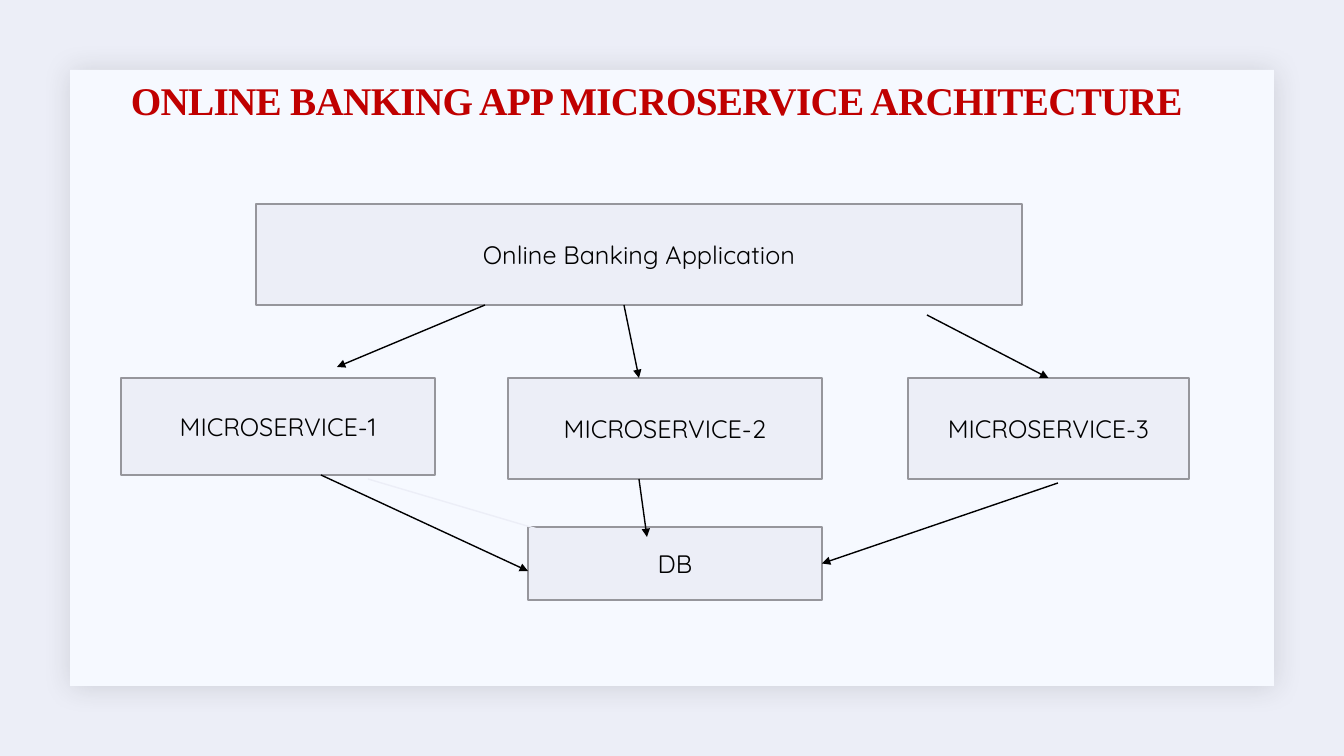
from lxml import etree
from pptx import Presentation
from pptx.dml.color import RGBColor
from pptx.enum.shapes import MSO_CONNECTOR as CONN, MSO_SHAPE as SHAPE
from pptx.enum.text import MSO_ANCHOR as ANCHOR, PP_ALIGN as ALIGN
from pptx.oxml import parse_xml
from pptx.oxml.ns import nsdecls, qn
from pptx.util import Pt

TITLE = "ONLINE BANKING APP MICROSERVICE ARCHITECTURE"
TITLE_AREA = (121, 53, 1109, 99)
PANEL_AREA = (70, 70, 1204, 616)
BOXES = {
    "Online Banking Application": (256, 204, 766, 101),
    "MICROSERVICE-1": (121, 378, 314, 97),
    "MICROSERVICE-2": (508, 378, 314, 101),
    "MICROSERVICE-3": (908, 378, 281, 101),
    "DB": (528, 527, 294, 73),
}
BLACK, PALE, PANEL, RED, GREY = "000000", "ECEEF7", "F6F9FF", "C00000", "96969C"
ARROWS = [
    ((485, 305), (337, 367), BLACK, None),
    ((624, 305), (639, 378), BLACK, None),
    ((927, 315), (1049, 378), BLACK, ("MICROSERVICE-3", 0)),
    ((368, 479), (639, 559), PALE, None),
    ((321, 475), (528, 571), BLACK, None),
    ((639, 479), (647, 537), BLACK, None),
    ((1058, 483), (822, 564), BLACK, ("DB", 3)),
]
TITLE_FONT = {"name": "Times New Roman", "size": Pt(28), "bold": True}
BOX_FONT = {"name": "Quicksand", "size": Pt(18)}
SHADOW = (
    f'<a:effectLst {nsdecls("a")}><a:outerShdw blurRad="254000" dist="25400" '
    'dir="2700000" algn="ctr" rotWithShape="0"><a:srgbClr val="1F2125">'
    '<a:alpha val="15000"/></a:srgbClr></a:outerShdw></a:effectLst>'
)


def px(*values):
    return [round(v * 914400 / 100.8) for v in values]


def rgb(value):
    return RGBColor.from_string(value)


def write(sp, text, color, font):
    tf = sp.text_frame
    tf.word_wrap = True
    tf.vertical_anchor = ANCHOR.MIDDLE
    p = tf.paragraphs[0]
    r = p.add_run()
    r.text = text
    r.font.color.rgb = rgb(color)
    for name, value in font.items():
        setattr(r.font, name, value)
    return p, r


def add_rect(s, area, fill):
    sp = s.shapes.add_shape(SHAPE.RECTANGLE, *px(*area))
    sp.shadow.inherit = False
    sp.fill.solid()
    sp.fill.fore_color.rgb = rgb(fill)
    return sp


def add_box(s, text, area):
    sp = add_rect(s, area, PALE)
    sp.line.color.rgb = rgb(GREY)
    sp.line.width = Pt(1.25)
    p, r = write(sp, text, BLACK, BOX_FONT)
    p.alignment = ALIGN.CENTER
    return sp


def add_arrow(s, start, end, color, joint, boxes):
    cx = s.shapes.add_connector(CONN.STRAIGHT, *px(*start, *end))
    if joint:
        name, site = joint
        cx.end_connect(boxes[name], site)
    cx.line.color.rgb = rgb(color)
    cx.line.width = Pt(1)
    etree.SubElement(cx.line._get_or_add_ln(), qn("a:tailEnd"), type="triangle")
    etree.SubElement(cx._element.spPr, qn("a:effectLst"))


def main():
    prs = Presentation()
    prs.slide_width, prs.slide_height = px(1344, 756)
    s = prs.slides.add_slide(prs.slide_layouts[6])
    s.background.fill.solid()
    s.background.fill.fore_color.rgb = rgb(PALE)

    panel = add_rect(s, PANEL_AREA, PANEL)
    panel.line.fill.background()
    spPr = panel._element.spPr
    spPr.replace(spPr.find(qn("a:effectLst")), parse_xml(SHADOW))

    title = s.shapes.add_textbox(*px(*TITLE_AREA))
    p, r = write(title, TITLE, RED, TITLE_FONT)
    p.line_spacing = 0.9
    r.font._element.set("spc", "-50")

    boxes = {text: add_box(s, text, area) for text, area in BOXES.items()}
    for arrow in ARROWS:
        add_arrow(s, *arrow, boxes)
    prs.save("out.pptx")


if __name__ == "__main__":
    main()
